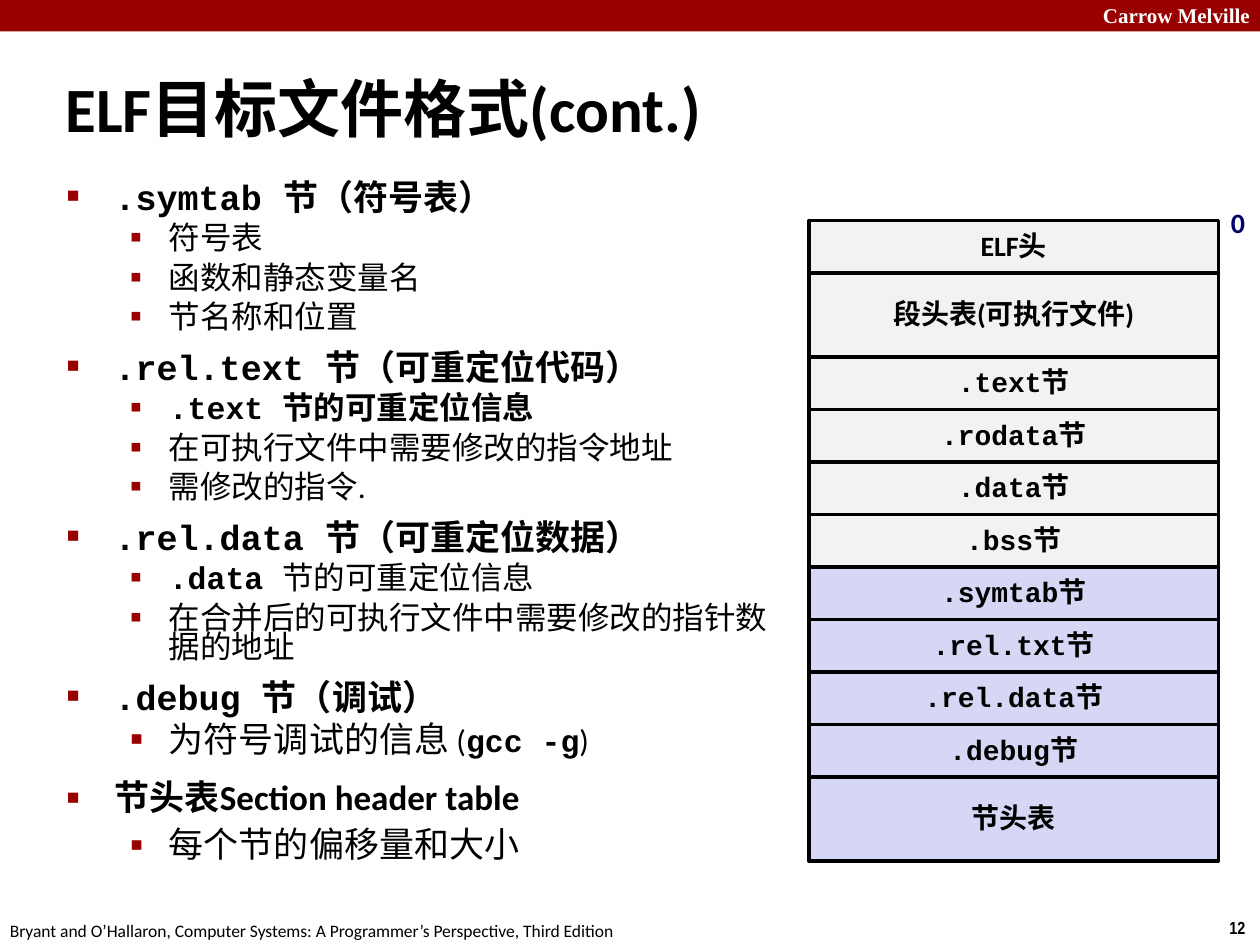
"""Builds a slide on the sections of the ELF object file format."""
import lxml.etree
import pptx
import pptx.dml.color
import pptx.enum.shapes
import pptx.enum.text
import pptx.oxml.ns
import pptx.util

Inches, Pt = pptx.util.Inches, pptx.util.Pt
RGB = pptx.dml.color.RGBColor.from_string
ALIGN = pptx.enum.text.PP_ALIGN
ANCHOR = pptx.enum.text.MSO_ANCHOR
FIT = pptx.enum.text.MSO_AUTO_SIZE
RECTANGLE = pptx.enum.shapes.MSO_SHAPE.RECTANGLE

THEME = {
    "red": "990000", "black": "000000", "white": "FFFFFF", "navy": "000066",
    "grey": "F2F2F2", "lilac": "D6D6F5",
    "sans": "Calibri", "mono": "Courier New", "serif": "Times New Roman", "narrow": "Arial Narrow",
    "title": 36, "topic": 20, "detail": 18, "section": 16, "banner": 12, "footer": 10,
}
STYLES = {"code": ("mono", True), "strong": ("sans", True), "plain": ("sans", False)}


def set_font(font, face, size, color="black", bold=True):
    font.name, font.size, font.bold = THEME[face], Pt(THEME[size]), bold
    font.color.rgb = RGB(THEME[color])


def write_runs(paragraph, runs, size):
    if len(runs) == 1:
        paragraph.text = runs[0][0]
        face, bold = STYLES[runs[0][1]]
        set_font(paragraph.font, face, size, bold=bold)
        return
    for text, style, *own_size in runs:
        run = paragraph.add_run()
        run.text = text
        face, bold = STYLES[style]
        set_font(run.font, face, own_size[0] if own_size else size, bold=bold)


deck = pptx.Presentation()
deck.slide_width, deck.slide_height = Inches(10), Inches(7.5)
slide = deck.slides.add_slide(deck.slide_layouts[1])
shapes = slide.shapes

banner = shapes.add_shape(RECTANGLE, 0, 0, Inches(10), Inches(0.25))
banner.shadow.inherit = False
banner.fill.solid()
banner.fill.fore_color.rgb = RGB(THEME["red"])
banner.line.fill.background()

labels = [
    ("Carrow Melville", 8.59, -0.03, 1.43, 0.3, "serif", "banner", "white", True, ALIGN.RIGHT),
    ("12", 9.66, 7.23, 0.34, 0.27, "narrow", "footer", "black", True, ALIGN.LEFT),
    ("Bryant and O’Hallaron, Computer Systems: A Programmer’s Perspective, Third Edition",
     -0.02, 7.25, 5.08, 0.27, "sans", "footer", "black", False, ALIGN.LEFT),
    ("0", 9.67, 1.58, 0.31, 0.37, "sans", "section", "navy", True, ALIGN.LEFT),
]
for text, left, top, width, height, face, size, color, bold, align in labels:
    label = shapes.add_textbox(Inches(left), Inches(top), Inches(width), Inches(height))
    label.text_frame.word_wrap = False
    label.text_frame.auto_size = FIT.SHAPE_TO_FIT_TEXT
    line = label.text_frame.paragraphs[0]
    line.text, line.alignment = text, align
    set_font(line.font, face, size, color, bold)

title = shapes.title
title.left, title.top, title.width, title.height = map(Inches, (0.42, 0.42, 9.53, 0.86))
title.text_frame.auto_size = FIT.NONE
title.text_frame.vertical_anchor = ANCHOR.MIDDLE
heading = title.text_frame.paragraphs[0]
heading.text, heading.alignment = "ELF目标文件格式(cont.)", ALIGN.LEFT
set_font(heading.font, "sans", "title")

outline = [
    (0, 0.71, "topic", [(".symtab ", "code"), ("节（符号表）", "strong")]),
    (1, 0.78, "detail", [("符号表", "plain")]),
    (1, 0.78, "detail", [("函数和静态变量名", "plain")]),
    (1, 0.78, "detail", [("节名称和位置", "plain")]),
    (0, 0.71, "topic", [(".rel.text ", "code"), ("节（可重定位代码）", "strong")]),
    (1, 0.78, "detail", [(".text ", "code"), ("节的可重定位信息", "strong")]),
    (1, 0.78, "detail", [("在可执行文件中需要修改的指令地址", "plain")]),
    (1, 0.78, "detail", [("需修改的指令.", "plain")]),
    (0, 0.71, "topic", [(".rel.data ", "code"), ("节（可重定位数据）", "strong")]),
    (1, 0.78, "detail", [(".data ", "code"), ("节的可重定位信息", "plain")]),
    (1, 0.78, "detail", [("在合并后的可执行文件中需要修改的指针数据的地址", "plain")]),
    (0, 0.71, "topic", [(".debug ", "code"), ("节（调试）", "strong")]),
    (1, 0.78, "detail", [("为符号调试的信息", "plain", "topic"), (" (", "plain"),
                         ("gcc -g", "code"), (")", "plain")]),
    (0, 0.88, "topic", [("节头表Section header table", "strong")]),
    (1, 0.88, "topic", [("每个节的偏移量和大小", "plain")]),
]
LEVELS = [("■", 60, 12.5, 0.38, -0.38), ("▪", 110, 5.7, 0.81, -0.31)]

body = slide.placeholders[1]
body.left, body.top, body.width, body.height = map(Inches, (0.43, 1.43, 5.77, 5.98))
body.text_frame.auto_size = FIT.NONE
for index, (level, spacing, size, runs) in enumerate(outline):
    point = body.text_frame.add_paragraph() if index else body.text_frame.paragraphs[0]
    bullet, bullet_size, space_before, margin, indent = LEVELS[level]
    point.level, point.line_spacing, point.space_before = level, spacing, Pt(space_before)
    properties = point._p.get_or_add_pPr()
    properties.set("marL", str(Inches(margin)))
    properties.set("indent", str(Inches(indent)))
    qn = pptx.oxml.ns.qn
    bullet_color = lxml.etree.SubElement(properties, qn("a:buClr"))
    lxml.etree.SubElement(bullet_color, qn("a:srgbClr"), val=THEME["red"])
    lxml.etree.SubElement(properties, qn("a:buSzPct"), val=str(bullet_size * 1000))
    lxml.etree.SubElement(properties, qn("a:buChar"), char=bullet)
    write_runs(point, runs, size)

NORMAL, TALL = 5 / 12, 2 / 3
sections = [
    ([("ELF头", "strong")], NORMAL, "grey"),
    ([("段头表(可执行文件)", "strong")], TALL, "grey"),
]
for name in (".text", ".rodata", ".data", ".bss", ".symtab", ".rel.txt", ".rel.data", ".debug"):
    color = "grey" if name in (".text", ".rodata", ".data", ".bss") else "lilac"
    sections.append(([(name, "code"), ("节", "strong")], NORMAL, color))
sections.append(([("节头表", "strong")], TALL, "lilac"))

top = 1.75
for runs, height, color in sections:
    section = shapes.add_shape(RECTANGLE, Inches(6.42), Inches(top), Inches(3.25), Inches(height))
    section.shadow.inherit = False
    section.fill.solid()
    section.fill.fore_color.rgb = RGB(THEME[color])
    section.line.color.rgb = RGB(THEME["black"])
    section.line.width = Pt(2)
    section.text_frame.word_wrap = False
    section.text_frame.vertical_anchor = ANCHOR.MIDDLE
    caption = section.text_frame.paragraphs[0]
    caption.alignment = ALIGN.CENTER
    caption.line_spacing = 0.94 if len(runs) > 1 else 0.98
    write_runs(caption, runs, "section")
    top += height

deck.save("out.pptx")
